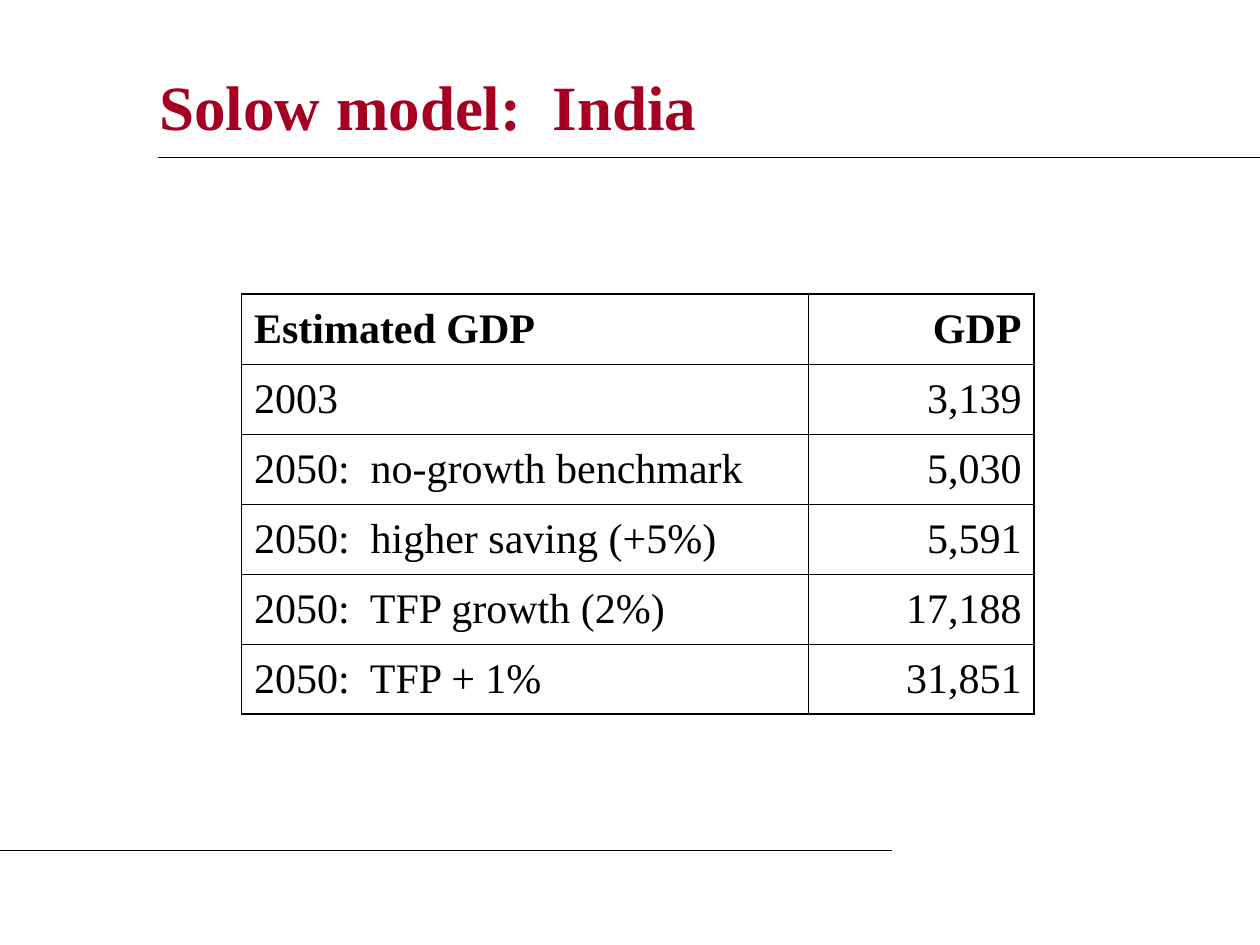
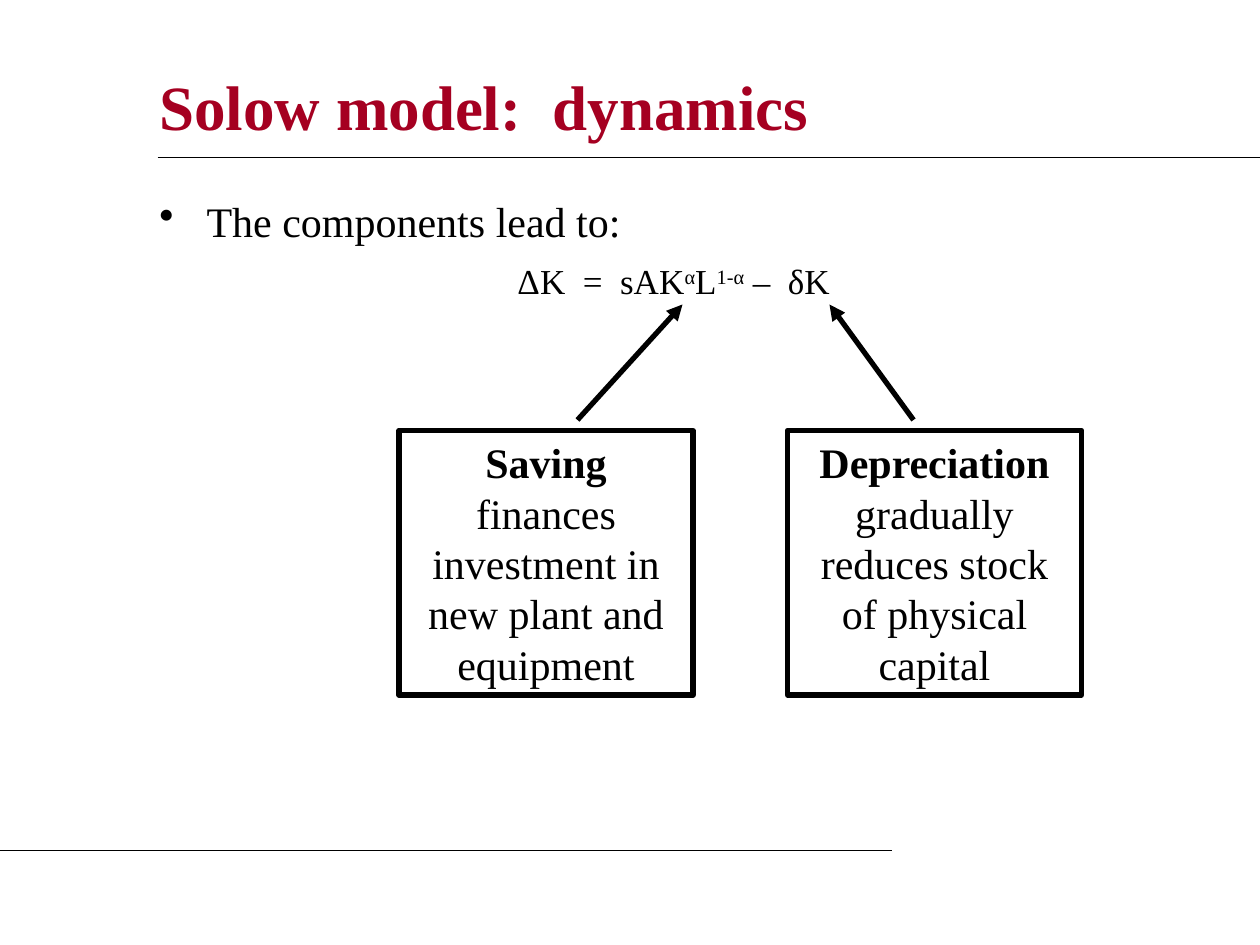
import dataclasses
import lxml.etree
import pptx
import pptx.dml.color
import pptx.enum.shapes
import pptx.enum.text
import pptx.oxml.ns
import pptx.util

Pt = pptx.util.Pt
Align = pptx.enum.text.PP_ALIGN
Anchor = pptx.enum.text.MSO_ANCHOR
qn = pptx.oxml.ns.qn


@dataclasses.dataclass(frozen=True)
class Theme:
    """Hold the colours, font, type sizes and line widths."""
    ink: str = "000000"
    red: str = "A50021"
    font: str = "Times New Roman"
    title: int = 36
    body: int = 24
    math: int = 20
    rule: float = 0.75
    bold: float = 3
    edge: float = 1.08
    grid: float = 0.45


LOOK = Theme()


def tint(code):
    """Turn a hex code into a colour."""
    return pptx.dml.color.RGBColor.from_string(code)


def node(parent, tag, **attrs):
    """Append an XML element with attributes."""
    return lxml.etree.SubElement(parent, qn(tag), **attrs)


def write(frame, text, size=LOOK.body, color=LOOK.ink, bold=False, align=Align.LEFT,
          anchor=Anchor.TOP, left=0, hang=0, mark=None, line=None, before=0, more=False):
    """Write one paragraph; text is a string or a list of (text, run format)."""
    frame.word_wrap = True
    frame.vertical_anchor = anchor
    para = frame.add_paragraph() if more else frame.paragraphs[0]
    props = para._p.get_or_add_pPr()
    props.set("marL", str(Pt(left)))
    props.set("indent", str(-Pt(hang)))
    if mark:
        node(props, "a:buChar", char=mark)
    para.alignment = align
    if line:
        para.line_spacing = line
    if before:
        para.space_before = Pt(before)
    for words, form in [(text, {})] if isinstance(text, str) else text:
        run = para.add_run()
        run.text = words
        font = run.font
        font.name, font.size = LOOK.font, Pt(size)
        font.bold = form.get("bold", bold)
        font.color.rgb = tint(color)
        if "base" in form:
            run._r.get_or_add_rPr().set("baseline", str(form["base"] * 1000))


def frame(slide, box):
    """Add a text box and return its text frame."""
    return slide.shapes.add_textbox(*map(Pt, box)).text_frame


def draw(slide, start, end, width=LOOK.rule, arrow=False):
    """Draw a straight line, with an arrowhead at its end if asked."""
    kind = pptx.enum.shapes.MSO_CONNECTOR.STRAIGHT
    link = slide.shapes.add_connector(kind, *map(Pt, (*start, *end)))
    link.line.color.rgb = tint(LOOK.ink)
    link.line.width = Pt(width)
    if arrow:
        node(link.line._get_or_add_ln(), "a:tailEnd", type="triangle")
    node(link._element.spPr, "a:effectLst")


def base(deck, title):
    """Add a slide with its title and two rules."""
    slide = deck.slides.add_slide(deck.slide_layouts[6])
    write(frame(slide, (84, 30, 582, 60)), title, size=LOOK.title,
          color=LOOK.red, bold=True, anchor=Anchor.MIDDLE)
    draw(slide, (90, 90), (720, 90))
    draw(slide, (0, 486), (510, 486))
    return slide


def border(cell, sides):
    """Set the cell borders from a map of side to width."""
    props = cell._tc.get_or_add_tcPr()
    for side, width in sides.items():
        line = node(props, "a:ln" + side, w=str(Pt(width)))
        node(node(line, "a:solidFill"), "a:srgbClr", val=LOOK.ink)


def grid(slide, box, rows, widths):
    """Place a table with a bold first row and heavier outer borders."""
    shape = slide.shapes.add_table(len(rows), len(widths), *map(Pt, box))
    table = shape.table
    table.first_row = table.horz_banding = False
    for col, width in zip(table.columns, widths):
        col.width = Pt(width)
    for i, row in enumerate(rows):
        table.rows[i].height = Pt(box[3] / len(rows))
        for j, text in enumerate(row):
            cell = table.cell(i, j)
            outer = {"L": j == 0, "R": j == len(widths) - 1,
                     "T": i == 0, "B": i == len(rows) - 1}
            border(cell, {side: LOOK.edge if out else LOOK.grid
                          for side, out in outer.items()})
            cell.fill.background()
            cell.vertical_anchor = Anchor.MIDDLE
            write(cell.text_frame, text, bold=i == 0, anchor=Anchor.MIDDLE,
                  align=Align.RIGHT if j else Align.LEFT)


def lead(slide, box):
    """Place the bullet and the equation."""
    area = frame(slide, box)
    write(area, "The components lead to:", left=27, hang=27, mark="•", line=0.8)
    power = {"base": 30}
    terms = [("ΔK  =  sAK", {}), ("α", power), ("L", {}), ("1-α", power), (" –  δK", {})]
    write(area, terms, size=LOOK.math, align=Align.CENTER, left=20,
          line=0.8, before=12.5, more=True)


def note(slide, box, term, text, start, end):
    """Place a framed note and its arrow, offset from the box's top left."""
    kind = pptx.enum.shapes.MSO_SHAPE.RECTANGLE
    shape = slide.shapes.add_shape(kind, *map(Pt, box))
    shape.shadow.inherit = False
    shape.fill.background()
    shape.line.color.rgb = tint(LOOK.ink)
    shape.line.width = Pt(LOOK.bold)
    write(shape.text_frame, [(term + " ", {"bold": True}), (text, {})], align=Align.CENTER)
    x, y = box[:2]
    draw(slide, (x + start[0], y + start[1]), (x + end[0], y + end[1]), LOOK.bold, True)


def india(deck):
    """Build the slide of GDP estimates."""
    rows = [("Estimated GDP", "GDP"),
            ("2003", "3,139"),
            ("2050:  no-growth benchmark", "5,030"),
            ("2050:  higher saving (+5%)", "5,591"),
            ("2050:  TFP growth (2%)", "17,188"),
            ("2050:  TFP + 1%", "31,851")]
    grid(base(deck, "Solow model:  India"), (138, 168, 453, 240), rows, (324, 129))


def motion(deck):
    """Build the slide of capital dynamics."""
    slide = base(deck, "Solow model:  dynamics")
    lead(slide, (84, 114, 582, 66))
    note(slide, (228, 246, 168, 151.2), "Saving",
         "finances investment in new plant and equipment", (102, -6), (162, -72))
    note(slide, (450, 246, 168, 151.2), "Depreciation",
         "gradually reduces stock of physical capital", (72, -6), (24, -72))


def main():
    """Build and save the deck."""
    deck = pptx.Presentation()
    deck.slide_width, deck.slide_height = Pt(720), Pt(540)
    india(deck)
    motion(deck)
    deck.save("out.pptx")


if __name__ == "__main__":
    main()
